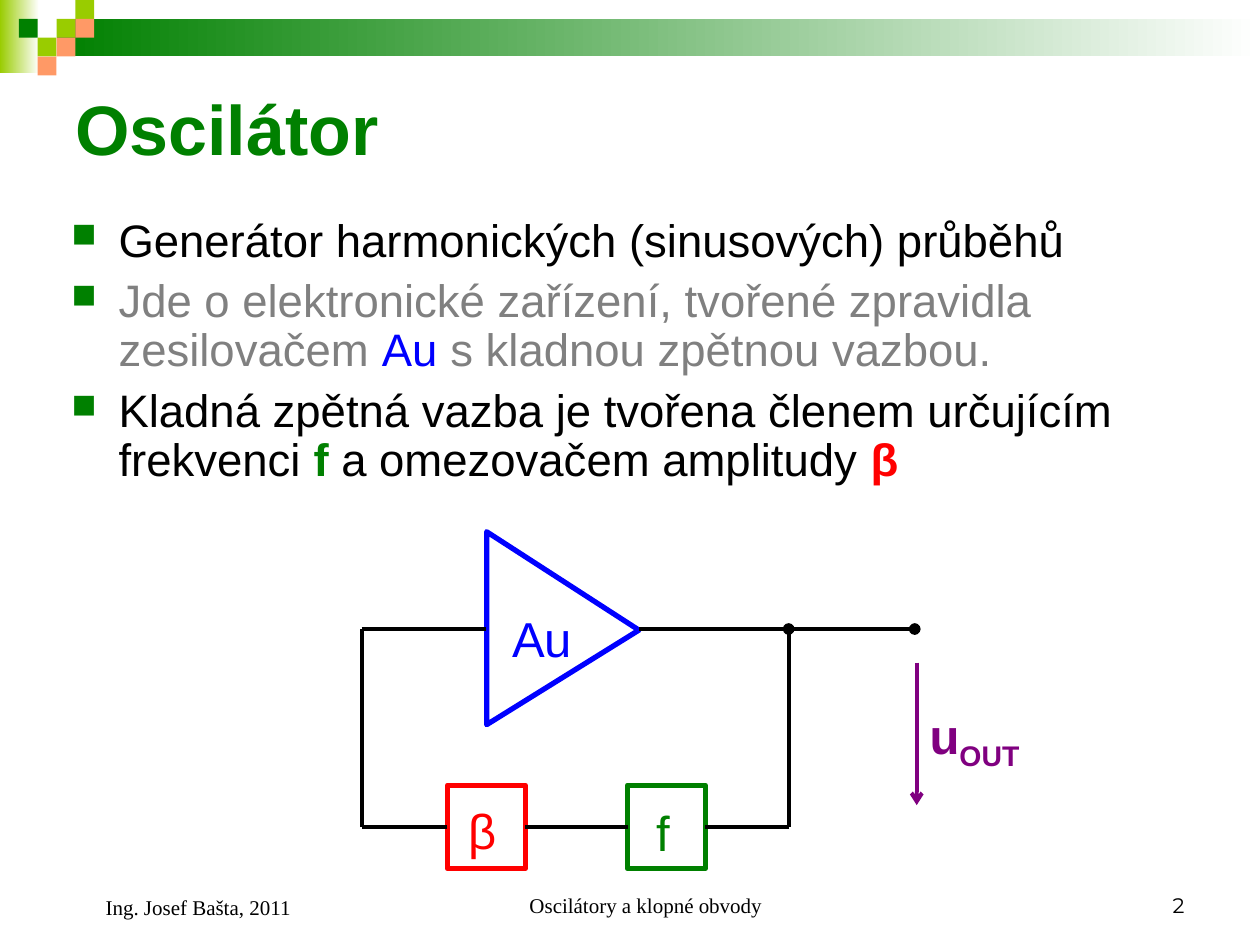
from lxml.etree import SubElement
from pptx import Presentation
from pptx.dml.color import RGBColor
from pptx.enum.shapes import MSO_CONNECTOR, MSO_SHAPE
from pptx.enum.text import MSO_ANCHOR, PP_ALIGN
from pptx.oxml.ns import qn
from pptx.util import Cm, Pt

COLORS = {
    "green": "008000", "lime": "99CC00", "orange": "FF9966", "white": "FFFFFF",
    "black": "000000", "gray": "808080", "blue": "0000FF", "red": "FF0000",
    "purple": "800080",
}
TILE = 0.38


def rgb(name):
    return RGBColor.from_string(COLORS[name])


def add_box(slide, kind, left, top, width, height, fill=None, line=None):
    """Add a preset shape, either filled or outlined; lengths in cm."""
    shape = slide.shapes.add_shape(kind, Cm(left), Cm(top), Cm(width), Cm(height))
    shape.shadow.inherit = False
    if fill:
        shape.fill.solid()
        shape.fill.fore_color.rgb = rgb(fill)
    else:
        shape.fill.background()
    if line:
        shape.line.color.rgb = rgb(line)
        shape.line.width = Pt(3)
    else:
        shape.line.fill.background()
    return shape


def add_fading_bar(slide, left, top, width, height, color):
    bar = add_box(slide, MSO_SHAPE.RECTANGLE, left, top, width, height)
    bar.fill.gradient()
    bar.fill.gradient_angle = 0
    for stop, name, position in zip(bar.fill.gradient_stops, (color, "white"), (0, 1)):
        stop.color.rgb = rgb(name)
        stop.position = position


def add_wire(slide, start, end, color="black", head=None, tail=None):
    """Join two points in cm; head and tail name the arrowheads at start and end."""
    wire = slide.shapes.add_connector(
        MSO_CONNECTOR.STRAIGHT, *(Cm(length) for length in (*start, *end)))
    wire.line.color.rgb = rgb(color)
    wire.line.width = Pt(2.25)
    line = wire.line._get_or_add_ln()
    for tag, kind in (("a:headEnd", head), ("a:tailEnd", tail)):
        if kind:
            SubElement(line, qn(tag), type=kind)
    SubElement(wire._element.spPr, qn("a:effectLst"))
    return wire


def format_run(run, size, color, bold=False, font="Arial"):
    run.font.size = Pt(size)
    run.font.name = font
    run.font.bold = bold
    run.font.color.rgb = rgb(color)


def add_text(slide, left, top, width, height, anchor=MSO_ANCHOR.TOP):
    box = slide.shapes.add_textbox(Cm(left), Cm(top), Cm(width), Cm(height))
    box.text_frame.word_wrap = True
    box.text_frame.vertical_anchor = anchor
    return box.text_frame


def add_label(slide, left, top, width, height, text, size, color,
              bold=False, font="Arial", anchor=MSO_ANCHOR.TOP):
    """Add a text box with one run and return its paragraph."""
    text_frame = add_text(slide, left, top, width, height, anchor)
    text_frame.text = text
    paragraph = text_frame.paragraphs[0]
    format_run(paragraph.runs[0], size, color, bold, font)
    return paragraph


def add_header(slide, left, top, width):
    add_fading_bar(slide, left, top, 0.79, 1.47, "lime")
    bar_left = 3 * TILE
    add_fading_bar(slide, left + bar_left, top + TILE, width - bar_left, 2 * TILE, "green")
    tiles = [(3, 1, "lime"), (4, 0, "lime"), (4, 1, "orange"), (2, 2, "lime"),
             (1, 1, "green"), (3, 2, "orange"), (2, 3, "orange")]
    for column, row, color in tiles:
        add_box(slide, MSO_SHAPE.RECTANGLE, left + column * TILE, top + row * TILE,
                TILE, TILE, fill=color)


def add_bullet(paragraph):
    properties = paragraph._p.get_or_add_pPr()
    properties.set("marL", str(Cm(0.95)))
    properties.set("indent", str(-Cm(0.95)))
    bullet_color = SubElement(properties, qn("a:buClr"))
    SubElement(bullet_color, qn("a:srgbClr"), val=COLORS["green"])
    SubElement(properties, qn("a:buSzPct"), val="75000")
    SubElement(properties, qn("a:buChar"), char="■")


def add_body(slide, left, top, width, height):
    bullets = [
        [("Generátor harmonických (sinusových) průběhů", "black", False)],
        [("Jde o elektronické zařízení, tvořené zpravidla zesilovačem ", "gray", False),
         ("Au", "blue", False),
         (" s kladnou zpětnou vazbou.", "gray", False)],
        [("Kladná zpětná vazba je tvořena členem určujícím frekvenci ", "black", False),
         ("f", "green", True),
         (" a omezovačem amplitudy ", "black", False),
         ("β", "red", True)],
    ]
    text_frame = add_text(slide, left, top, width, height)
    for index, parts in enumerate(bullets):
        paragraph = text_frame.add_paragraph() if index else text_frame.paragraphs[0]
        add_bullet(paragraph)
        paragraph.line_spacing = 0.9
        paragraph.space_before = Pt(6.5 if index else 0)
        for text, color, bold in parts:
            run = paragraph.add_run()
            run.text = text
            format_run(run, 26, color, bold)


def add_circuit(slide, left, top):
    """Draw the amplifier with its feedback loop from the given top-left corner."""
    def at(x, y):
        return left + x, top + y

    forward, feedback, node, output = 1.96, 5.95, 8.61, 11.15

    amplifier = add_box(slide, MSO_SHAPE.ISOSCELES_TRIANGLE, *at(2.11, 0.41),
                        3.89, 3.07, line="blue")
    amplifier.rotation = 90
    amplifier.adjustments[0] = 0.51
    limiter, filter_box = (
        add_box(slide, MSO_SHAPE.RECTANGLE, *at(x, feedback - 0.84), 1.57, 1.68, line=color)
        for x, color in ((1.73, "red"), (5.36, "green")))

    add_wire(slide, at(0, forward), at(2.51, forward))
    add_wire(slide, at(0, forward), at(0, feedback))
    add_wire(slide, at(output, forward), at(5.59, forward), head="oval")
    add_wire(slide, at(node, forward), at(node, feedback), head="oval")
    add_wire(slide, at(0, feedback), at(1.73, feedback)).end_connect(limiter, 1)
    link = add_wire(slide, at(3.3, feedback), at(5.36, feedback))
    link.begin_connect(limiter, 3)
    link.end_connect(filter_box, 1)
    add_wire(slide, at(6.93, feedback), at(node, feedback)).begin_connect(filter_box, 3)
    add_wire(slide, at(11.19, 2.64), at(11.19, 5.51), "purple", tail="arrow")

    for text, x, y, color in (("Au", 2.79, 1.42, "blue"), ("β", 1.9, 5.3, "red"),
                              ("f", 5.69, 5.33, "green")):
        add_label(slide, *at(x, y), 2.18, 1.45, text, 28, color)
    voltage = add_label(slide, *at(11.2, 3.38), 2.64, 1.6, "u", 28, "purple", bold=True)
    subscript = voltage.add_run()
    subscript.text = "OUT"
    format_run(subscript, 28, "purple", bold=True)
    subscript._r.get_or_add_rPr().set("baseline", "-25000")


def add_footer(slide, left, top, width):
    serif, bottom = "Times New Roman", MSO_ANCHOR.BOTTOM
    author = add_label(slide, left, top, 5.92, 1.32, "Ing. Josef Bašta, 2011", 12, "black",
                       font=serif, anchor=bottom)
    topic = add_label(slide, left + 7.42, top, 8.05, 1.27, "Oscilátory a klopné obvody",
                      12, "black", font=serif, anchor=bottom)
    topic.alignment = PP_ALIGN.CENTER
    for paragraph in (author, topic):
        paragraph._p.get_or_add_pPr().set("marL", str(Cm(0.61)))
    number = add_label(slide, left + width - 5.92, top, 5.92, 1.27, "2", 12, "black",
                       font="Montserrat", anchor=bottom)
    number.alignment = PP_ALIGN.RIGHT


def main():
    presentation = Presentation()
    presentation.slide_width, presentation.slide_height = Cm(25.4), Cm(19.05)
    slide = presentation.slides.add_slide(presentation.slide_layouts[6])
    add_header(slide, 0, 0, 25.4)
    add_label(slide, 1.27, 1.27, 22.86, 2.62, "Oscilátor", 40, "green", bold=True,
              anchor=MSO_ANCHOR.MIDDLE)
    add_body(slide, 1.19, 4.27, 22.86, 5.94)
    add_circuit(slide, 7.29, 10.72)
    add_footer(slide, 1.27, 17.35, 22.86)
    presentation.save("out.pptx")


if __name__ == "__main__":
    main()
